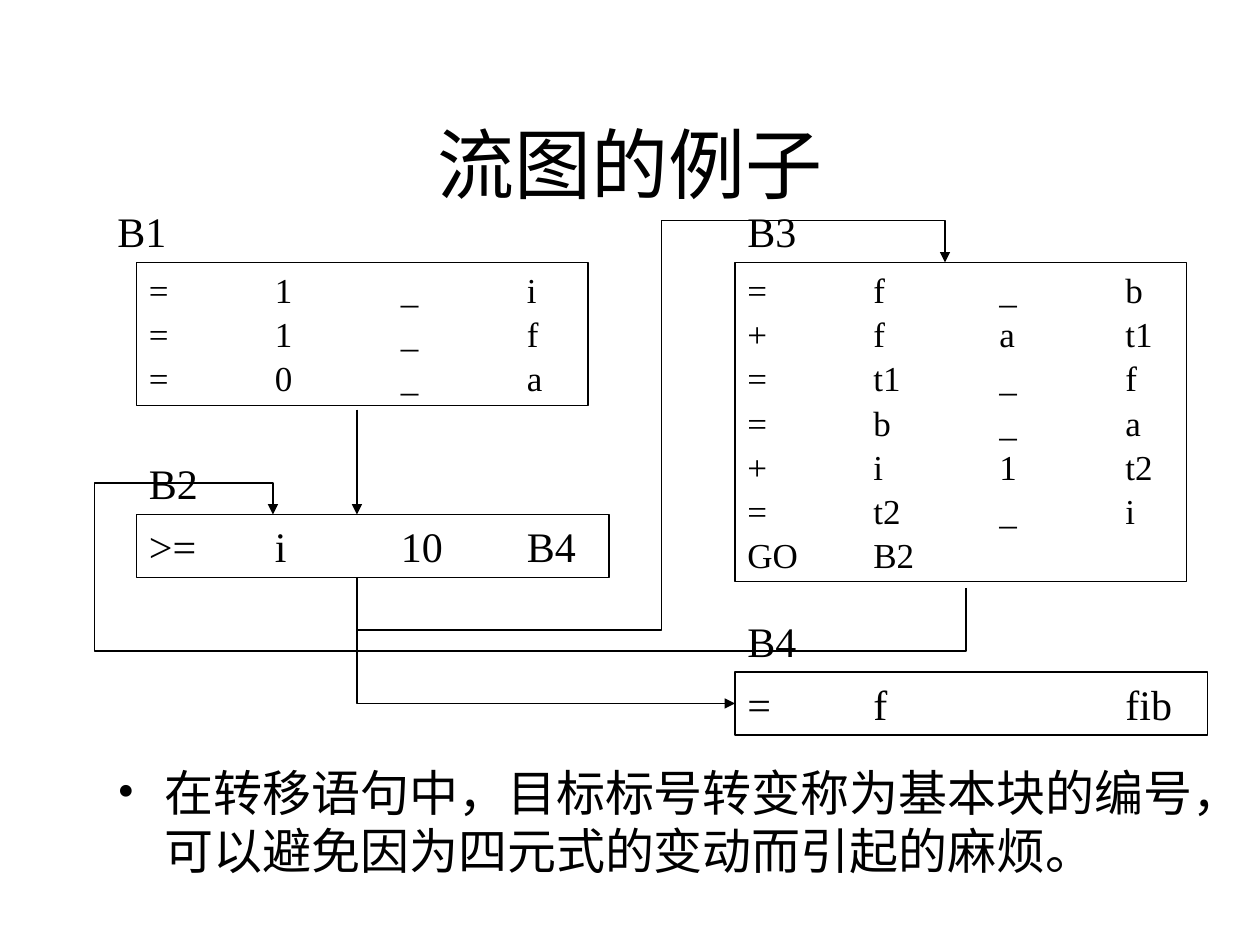
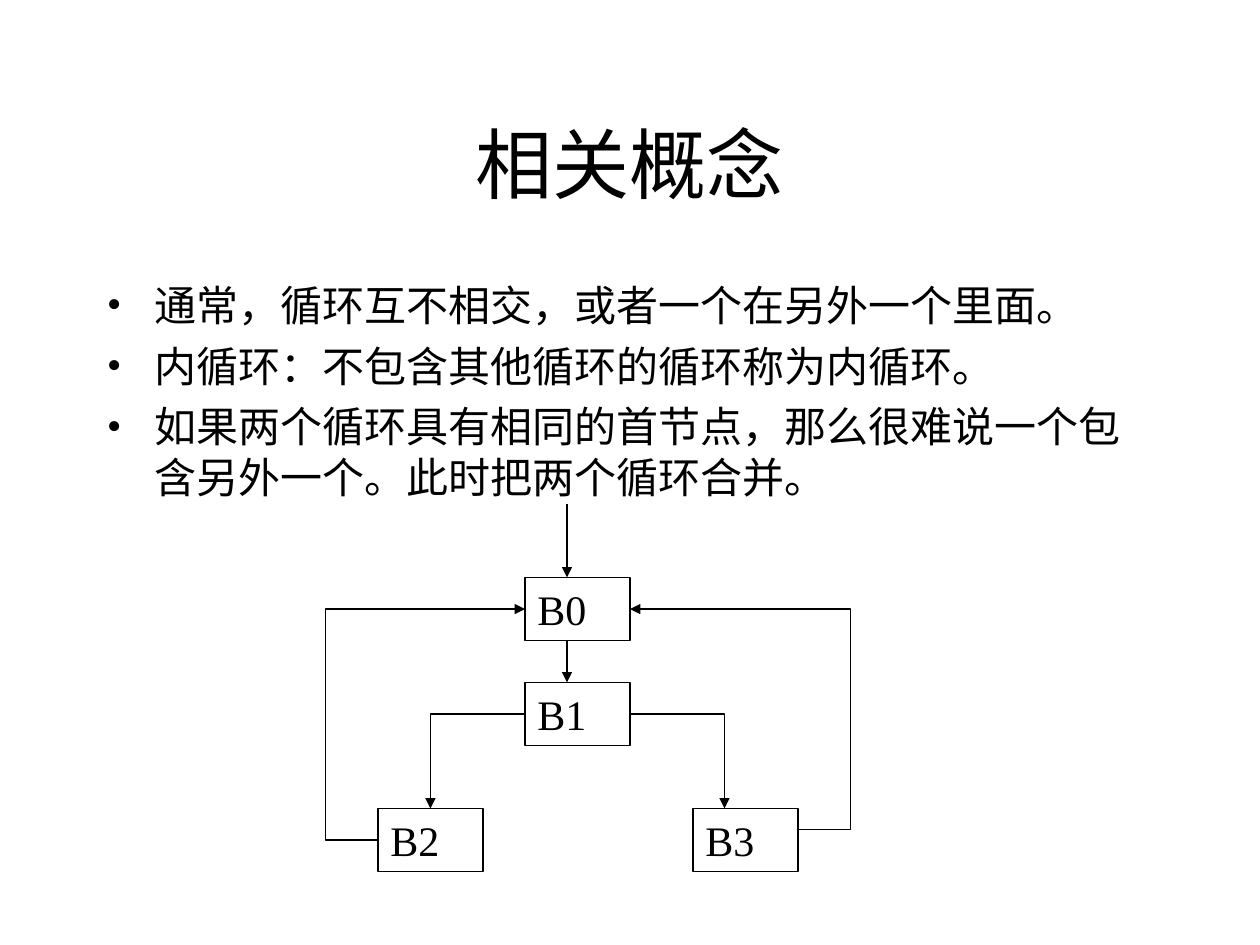
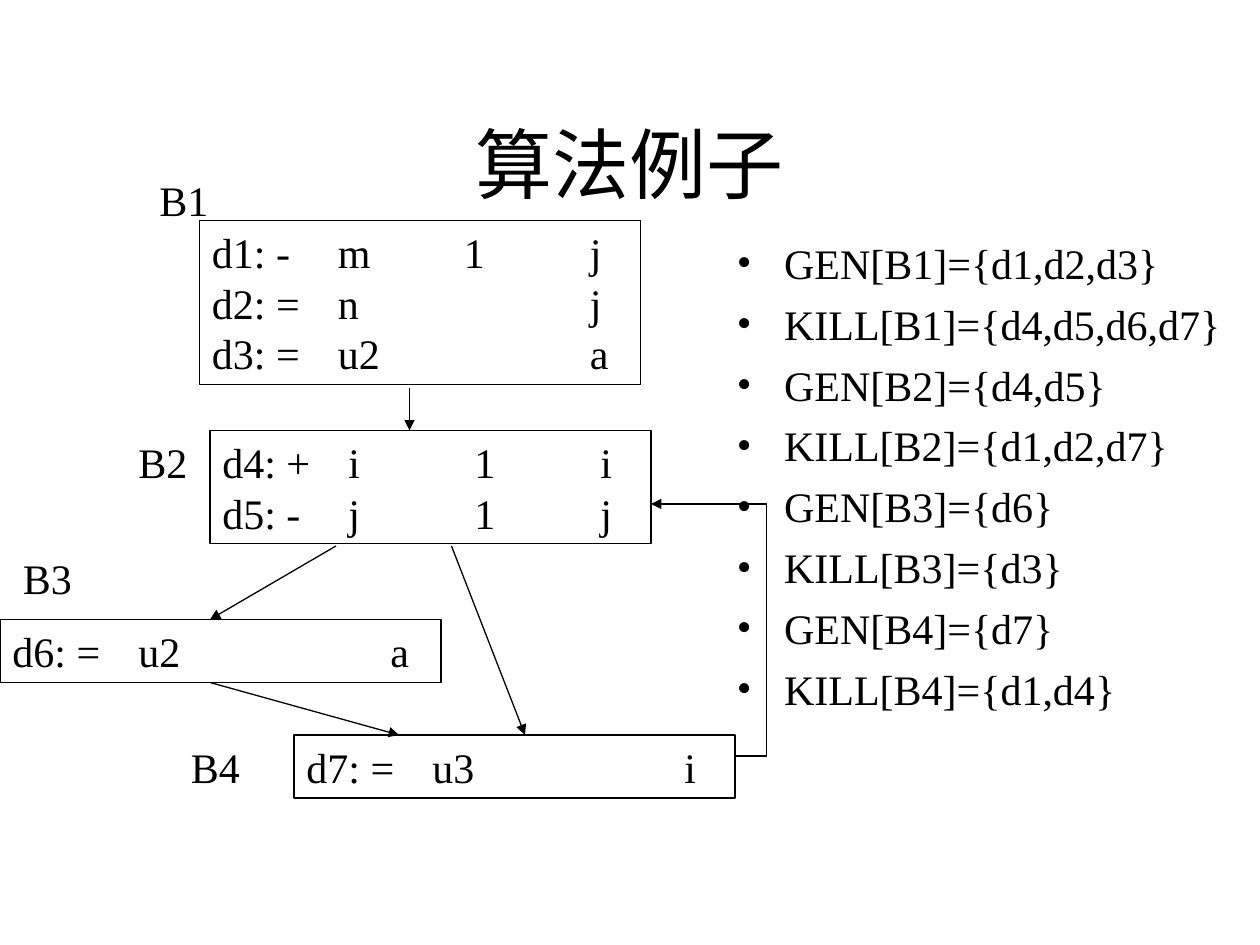
from typing import NamedTuple

from lxml.etree import SubElement
from pptx import Presentation
from pptx.dml.color import RGBColor
from pptx.enum.shapes import MSO_CONNECTOR, MSO_SHAPE
from pptx.enum.text import MSO_ANCHOR, MSO_AUTO_SIZE, PP_ALIGN
from pptx.oxml.ns import qn
from pptx.util import Cm, Pt

FONT = "Times New Roman"
INK = "000000"
LINE_WIDTH = 0.75
LINE_HEIGHT = 1.2
GRID_PER_INCH = 12
TAB_COUNT = 4
POINTS_PER_GRID = 6
VERTICAL_INSETS = 7.2
TITLE_AREA = (9, 8, 102, 15)

Point = tuple[float, float]


class Block(NamedTuple):
    left: float
    top: float
    width: float
    rows: list[str]
    size: float = 24
    gap: float = 0
    outlined: bool = True

    @property
    def height(self) -> float:
        text = len(self.rows) * self.size * LINE_HEIGHT + (len(self.rows) - 1) * self.gap
        return (text + VERTICAL_INSETS) / POINTS_PER_GRID


class Bullets(NamedTuple):
    left: float
    top: float
    width: float
    height: float
    rows: list[str]
    size: float = 24
    gap: float = 6


class FlowSlide(NamedTuple):
    title: str
    bullets: Bullets
    blocks: list[Block]
    arrows: list[list[Point]]


def grid(count: float) -> Cm:
    return Cm(count * 2.54 / GRID_PER_INCH)


def color(value: str) -> RGBColor:
    return RGBColor.from_string(value)


def label(left: float, top: float, text: str, width: float = 12) -> Block:
    return Block(left, top, width, [text], outlined=False)


def node(left: float, top: float, text: str) -> Block:
    return Block(left, top, 10, [text])


def add_tabs(paragraph) -> None:
    tabs = SubElement(paragraph._p.get_or_add_pPr(), qn("a:tabLst"))
    for index in range(1, TAB_COUNT + 1):
        SubElement(tabs, qn("a:tab"), pos=str(grid(index * GRID_PER_INCH)), algn="l")


def add_bullet(paragraph) -> None:
    properties = paragraph._p.get_or_add_pPr()
    properties.set("marL", str(grid(4.5)))
    properties.set("indent", str(-grid(4.5)))
    bullet_color = SubElement(properties, qn("a:buClr"))
    SubElement(bullet_color, qn("a:srgbClr"), val=INK)
    SubElement(properties, qn("a:buFont"), typeface=FONT)
    SubElement(properties, qn("a:buChar"), char="•")


def write_rows(frame, rows: list[str], size: float, gap: float = 0, decorate=None,
               alignment: PP_ALIGN = PP_ALIGN.LEFT) -> None:
    frame.word_wrap = True
    for index, text in enumerate(rows):
        paragraph = frame.add_paragraph() if index else frame.paragraphs[0]
        if decorate:
            decorate(paragraph)
        paragraph.alignment = alignment
        paragraph.line_spacing = Pt(size * LINE_HEIGHT)
        paragraph.space_before = Pt(gap if index else 0)
        run = paragraph.add_run()
        run.text = text
        run.font.name = FONT
        run.font.size = Pt(size)
        run.font.color.rgb = color(INK)


def draw_title(slide, text: str) -> None:
    title = slide.shapes.title
    title.left, title.top, title.width, title.height = map(grid, TITLE_AREA)
    frame = title.text_frame
    frame.auto_size = MSO_AUTO_SIZE.NONE
    frame.vertical_anchor = MSO_ANCHOR.MIDDLE
    write_rows(frame, [text], 44, alignment=PP_ALIGN.CENTER)


def draw_bullets(slide, bullets: Bullets) -> None:
    box = slide.shapes.add_textbox(*map(grid, bullets[:4]))
    write_rows(box.text_frame, bullets.rows, bullets.size, bullets.gap, add_bullet)


def set_line(shape) -> None:
    shape.line.color.rgb = color(INK)
    shape.line.width = Pt(LINE_WIDTH)


def draw_block(slide, block: Block) -> None:
    area = map(grid, (block.left, block.top, block.width, block.height))
    if block.outlined:
        shape = slide.shapes.add_shape(MSO_SHAPE.RECTANGLE, *area)
        shape.shadow.inherit = False
        shape.fill.background()
        set_line(shape)
    else:
        shape = slide.shapes.add_textbox(*area)
    frame = shape.text_frame
    frame.vertical_anchor = MSO_ANCHOR.TOP
    frame.auto_size = MSO_AUTO_SIZE.SHAPE_TO_FIT_TEXT
    write_rows(frame, block.rows, block.size, block.gap, add_tabs)


def draw_arrow(slide, points: list[Point]) -> None:
    start, *corners = [(grid(x), grid(y)) for x, y in points]
    if len(corners) == 1:
        shape = slide.shapes.add_connector(MSO_CONNECTOR.STRAIGHT, *start, *corners[0])
        set_line(shape)
        SubElement(shape.element.spPr, qn("a:effectLst"))
    else:
        builder = slide.shapes.build_freeform(*start)
        builder.add_line_segments(corners, close=False)
        shape = builder.convert_to_shape()
        shape.shadow.inherit = False
        shape.fill.background()
        set_line(shape)
    outline = shape.element.spPr.find(qn("a:ln"))
    SubElement(outline, qn("a:tailEnd"), type="triangle")


def draw_slide(presentation, content: FlowSlide) -> None:
    slide = presentation.slides.add_slide(presentation.slide_layouts[5])
    draw_title(slide, content.title)
    draw_bullets(slide, content.bullets)
    for block in content.blocks:
        draw_block(slide, block)
    for arrow in content.arrows:
        draw_arrow(slide, arrow)


FLOW_GRAPH = FlowSlide(
    "流图的例子",
    Bullets(10, 72, 108, 15, [
        "在转移语句中，目标标号转变称为基本块的编号，可以避免因为四元式的变动而引起的麻烦。",
    ], size=28),
    [
        Block(13, 25, 43, ["=\t1\t_\ti", "=\t1\t_\tf", "=\t0\t_\ta"], 20, 1.2),
        Block(13, 49, 45, [">=\ti\t10\tB4"]),
        Block(70, 25, 43, [
            "=\tf\t_\tb",
            "+\tf\ta\tt1",
            "=\tt1\t_\tf",
            "=\tb\t_\ta",
            "+\ti\t1\tt2",
            "=\tt2\t_\ti",
            "GO\tB2",
        ], 20, 1.2),
        Block(70, 64, 45, ["=\tf\t\tfib"]),
        label(10, 19, "B1"),
        label(13, 43, "B2"),
        label(70, 19, "B3"),
        label(70, 58, "B4"),
    ],
    [
        [(34, 39), (34, 49)],
        [(34, 55), (34, 60), (63, 60), (63, 21), (90, 21), (90, 25)],
        [(92, 56), (92, 62), (9, 62), (9, 46), (26, 46), (26, 49)],
        [(34, 60), (34, 67), (70, 67)],
    ],
)

CONCEPTS = FlowSlide(
    "相关概念",
    Bullets(9, 26, 102, 25, [
        "通常，循环互不相交，或者一个在另外一个里面。",
        "内循环：不包含其他循环的循环称为内循环。",
        "如果两个循环具有相同的首节点，那么很难说一个包含另外一个。此时把两个循环合并。",
    ]),
    [node(50, 55, "B0"), node(50, 65, "B1"), node(36, 77, "B2"), node(66, 77, "B3")],
    [
        [(54, 48), (54, 55)],
        [(54, 61), (54, 65)],
        [(50, 68), (41, 68), (41, 77)],
        [(60, 68), (69, 68), (69, 77)],
        [(36, 80), (31, 80), (31, 58), (50, 58)],
        [(76, 79), (81, 79), (81, 58), (60, 58)],
    ],
)

ALGORITHM = FlowSlide(
    "算法例子",
    Bullets(69, 22, 53, 61, [
        "GEN[B1]={d1,d2,d3}",
        "KILL[B1]={d4,d5,d6,d7}",
        "GEN[B2]={d4,d5}",
        "KILL[B2]={d1,d2,d7}",
        "GEN[B3]={d6}",
        "KILL[B3]={d3}",
        "GEN[B4]={d7}",
        "KILL[B4]={d1,d4}",
    ]),
    [
        Block(19, 21, 42, ["d1: -\tm\t1\tj", "d2: =\tn\t\tj", "d3: =\tu2\t\ta"]),
        Block(20, 41, 42, ["d4: +\ti\t1\ti", "d5: -\tj\t1\tj"]),
        Block(0, 59, 42, ["d6: =\tu2\t\ta"]),
        Block(28, 70, 42, ["d7: =\tu3\t\ti"]),
        label(14, 16, "B1", 8),
        label(12, 41, "B2", 8),
        label(1, 52, "B3", 8),
        label(17, 70, "B4", 8),
    ],
    [
        [(39, 37), (39, 41)],
        [(32, 52), (20, 59)],
        [(43, 52), (50, 70)],
        [(20, 65), (38, 70)],
        [(70, 72), (73, 72), (73, 48), (62, 48)],
    ],
)


def main() -> None:
    presentation = Presentation()
    presentation.slide_width = Cm(25.4)
    presentation.slide_height = Cm(19.05)
    for content in (FLOW_GRAPH, CONCEPTS, ALGORITHM):
        draw_slide(presentation, content)
    presentation.save("out.pptx")


if __name__ == "__main__":
    main()
